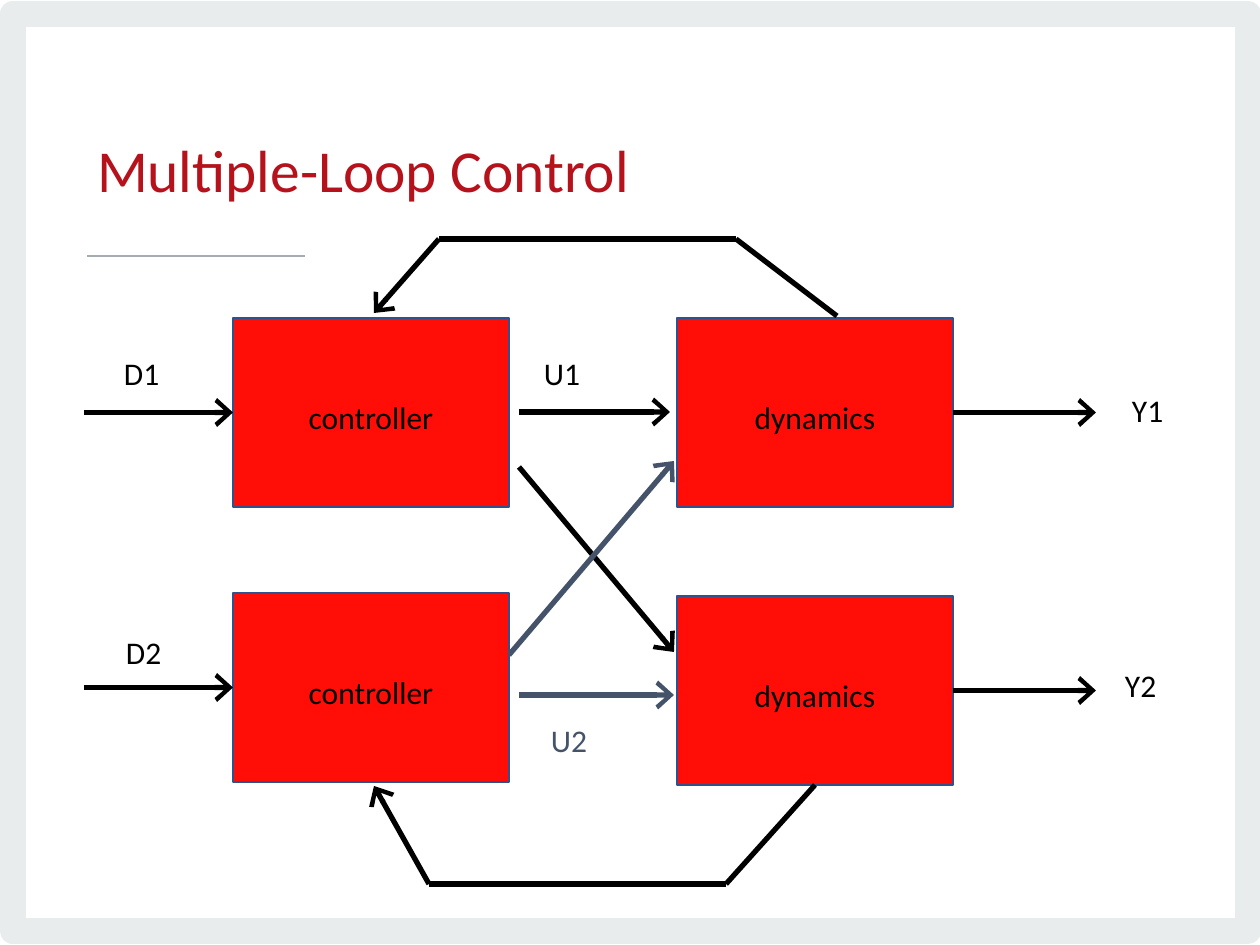
import collections
import itertools

import pptx
import pptx.dml.color
import pptx.enum.shapes
import pptx.enum.text
import pptx.oxml
import pptx.oxml.ns
import pptx.util

Theme = collections.namedtuple(
    "Theme", "font frame rule title ink second block block_edge title_pt text_pt")
THEME = Theme(font="Calibri", frame="E9ECED", rule="A5ACB0", title="B5121B",
              ink="000000", second="44536A", block="FF0D06",
              block_edge="2E528E", title_pt=34, text_pt=18)
Box = collections.namedtuple("Box", "left top width height")

SLIDE = Box(0, 0, 1260, 945)
BLOCK_SIZE = (276, 189)
LABEL_SIZE = (40, 38)
TOP, LEFT, BOTTOM, RIGHT = range(4)  # connection sites of a rectangle


def px(length):
    return pptx.util.Emu(round(length * 914400 / 126))


def rgb(value):
    return pptx.dml.color.RGBColor.from_string(value)


def apply(target, formats):
    for name, value in formats.items():
        setattr(target, name, value)


def style_line(line, color, points):
    line.color.rgb = rgb(color)
    line.width = pptx.util.Pt(points)


def write(shape, text, color, points, align, **frame_formats):
    frame = shape.text_frame
    apply(frame, {"margin_left": 0, "margin_top": 0, "margin_right": 0,
                  "margin_bottom": 0, **frame_formats})
    paragraph = frame.paragraphs[0]
    paragraph.text = text
    paragraph.alignment = align
    apply(paragraph.font, {"name": THEME.font, "size": pptx.util.Pt(points)})
    paragraph.font.color.rgb = rgb(color)


def draw_label(shapes, text, left, top, color=THEME.ink):
    label = shapes.add_textbox(*map(px, (left, top, *LABEL_SIZE)))
    write(label, text, color, THEME.text_pt, pptx.enum.text.PP_ALIGN.LEFT,
          word_wrap=False)


def draw_line(shapes, start, end, color=THEME.ink, points=3, arrow=True):
    line = shapes.add_connector(pptx.enum.shapes.MSO_CONNECTOR.STRAIGHT,
                                *map(px, (*start, *end)))
    style_line(line.line, color, points)
    if arrow:
        line.line._get_or_add_ln().append(pptx.oxml.parse_xml(
            '<a:tailEnd %s type="arrow" w="lg" len="med"/>'
            % pptx.oxml.ns.nsdecls("a")))
    line._element.spPr.append(pptx.oxml.parse_xml(
        "<a:effectLst %s/>" % pptx.oxml.ns.nsdecls("a")))
    return line


def draw_rectangle(shapes, box):
    rectangle = shapes.add_shape(pptx.enum.shapes.MSO_SHAPE.RECTANGLE,
                                 *map(px, box))
    rectangle.shadow.inherit = False
    return rectangle


def draw_block(shapes, text, left, top):
    block = draw_rectangle(shapes, Box(left, top, *BLOCK_SIZE))
    block.fill.solid()
    block.fill.fore_color.rgb = rgb(THEME.block)
    style_line(block.line, THEME.block_edge, 1)
    write(block, text, THEME.ink, THEME.text_pt,
          pptx.enum.text.PP_ALIGN.CENTER, margin_top=px(9),
          vertical_anchor=pptx.enum.text.MSO_ANCHOR.MIDDLE)
    return block


def draw_frame(shapes, box):
    border = draw_rectangle(shapes, Box(box.left + 13, box.top + 14,
                                        box.width - 25, box.height - 28))
    border.fill.background()
    style_line(border.line, THEME.frame, 15.2)


def draw_title(shapes, box, text):
    title = shapes.add_textbox(*map(px, box))
    write(title, text, THEME.title, THEME.title_pt,
          pptx.enum.text.PP_ALIGN.LEFT, word_wrap=True,
          margin_left=px(11), margin_top=px(42))
    rule_top = box.top + 165
    draw_line(shapes, (box.left + 1, rule_top), (box.left + 219, rule_top),
              THEME.rule, 1.4, arrow=False)


def draw_loop_row(shapes, box, dynamics_drop, disturbance, output):
    """One loop from its D input to its Y output; returns its dynamics block."""
    width, height = BLOCK_SIZE
    controller_left, dynamics_left = box.left + 149, box.left + 593
    controller = draw_block(shapes, "controller", controller_left, box.top)
    dynamics = draw_block(shapes, "dynamics", dynamics_left,
                          box.top + dynamics_drop)

    # Input and output arrows, level with the middle of their block
    input_y = box.top + height / 2
    output_y = input_y + dynamics_drop
    draw_line(shapes, (box.left, input_y),
              (controller_left, input_y)).end_connect(controller, LEFT)
    draw_line(shapes, (dynamics_left + width, output_y),
              (box.left + box.width, output_y)).begin_connect(dynamics, RIGHT)

    for text, (left, top) in (disturbance, output):
        draw_label(shapes, text, box.left + left, box.top + top)
    return dynamics


def draw_couplings(shapes, box):
    """Signals from both controllers to both dynamics blocks."""
    signals = (
        ((10, 94), (161, 94), THEME.ink),
        ((10, 149), (165, 334), THEME.ink),
        ((10, 377), (165, 377), THEME.second),
        ((0, 337), (165, 143), THEME.second),
    )
    for start, end, color in signals:
        draw_line(shapes, (box.left + start[0], box.top + start[1]),
                  (box.left + end[0], box.top + end[1]), color)
    draw_label(shapes, "U1", box.left + 35, box.top + 36)
    draw_label(shapes, "U2", box.left + 42, box.top + 403, THEME.second)


def draw_feedback(shapes, box, corners):
    """Three lines through the corners, the last with an arrowhead."""
    points = [(box.left + x, box.top + y) for x, y in corners]
    pairs = list(itertools.pairwise(points))
    return [draw_line(shapes, *pair, arrow=pair == pairs[-1])
            for pair in pairs]


def main():
    presentation = pptx.Presentation()
    apply(presentation, {"slide_width": px(SLIDE.width),
                         "slide_height": px(SLIDE.height)})
    shapes = presentation.slides.add_slide(
        presentation.slide_layouts[6]).shapes

    draw_frame(shapes, SLIDE)
    draw_title(shapes, Box(86, 91, 1090, 135), "Multiple-Loop Control")

    # The two control loops
    draw_loop_row(shapes, Box(84, 318, 1012, 189), 0,
                  ("D1", (40, 36)), ("Y1", (1048, 73)))
    lower_dynamics = draw_loop_row(shapes, Box(84, 593, 1012, 192), 3,
                                   ("D2", (42, 40)), ("Y2", (1041, 73)))
    draw_couplings(shapes, Box(509, 318, 168, 466))

    # Feedback above and below
    draw_feedback(shapes, Box(374, 239, 463, 77),
                  ((463, 77), (362, 0), (65, 0), (0, 74)))
    lower_feedback = draw_feedback(shapes, Box(374, 785, 441, 99),
                                   ((441, 0), (352, 99), (55, 99), (0, 1)))
    lower_feedback[0].begin_connect(lower_dynamics, BOTTOM)

    presentation.save("out.pptx")


if __name__ == "__main__":
    main()
